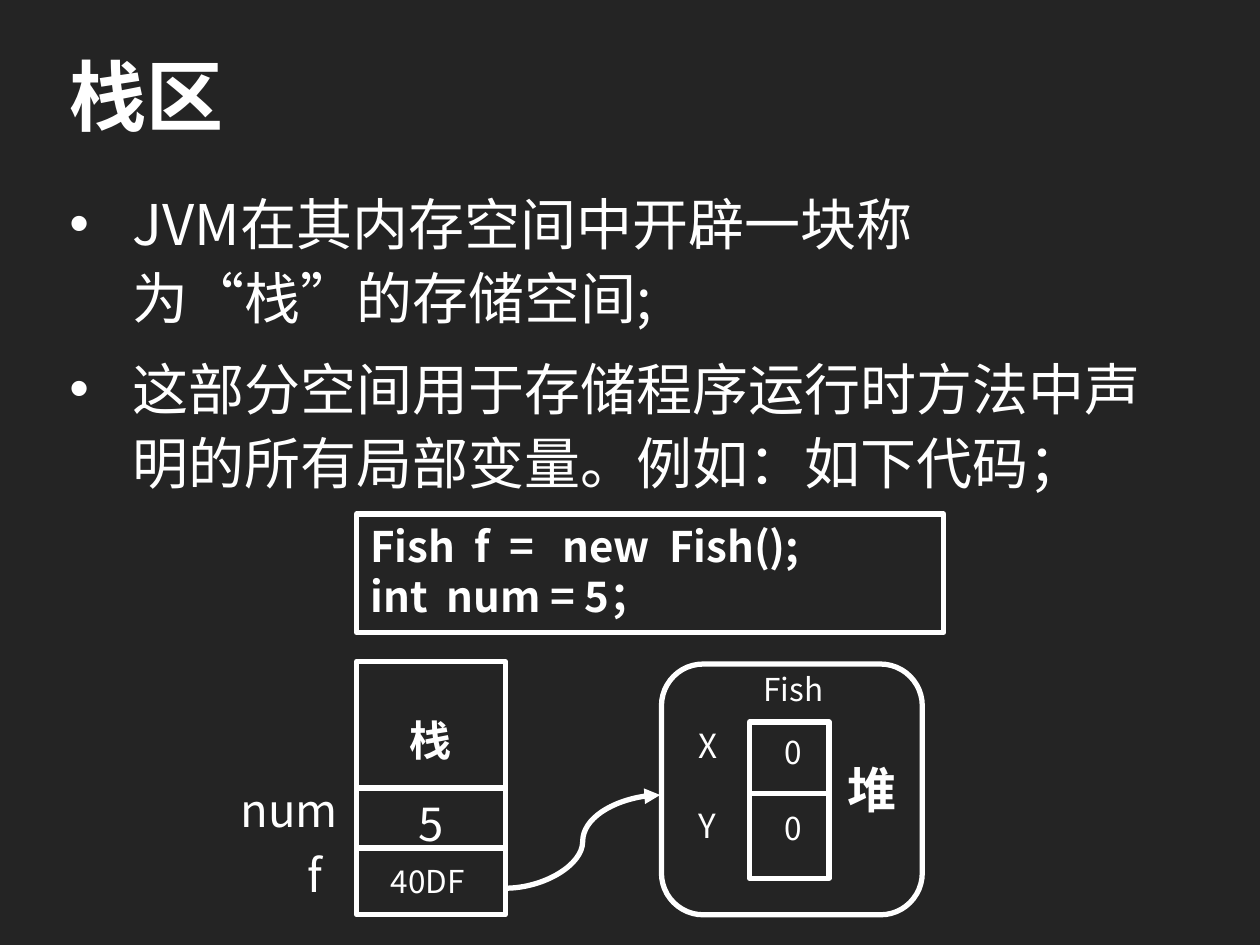
from lxml.etree import SubElement
from pptx import Presentation
from pptx.dml.color import RGBColor
from pptx.enum.shapes import MSO_CONNECTOR, MSO_SHAPE
from pptx.enum.text import MSO_ANCHOR, PP_ALIGN
from pptx.oxml.ns import qn
from pptx.util import Pt

EMU_PER_PX = 9144
FONT = "Noto Sans CJK SC"
INK = "FFFFFF"
GROUND = "242424"
INSETS = {"margin_left": 11, "margin_right": 11, "margin_top": 5, "margin_bottom": 5}


def px(*lengths):
    return [length * EMU_PER_PX for length in lengths]


def colour(value):
    return RGBColor.from_string(value)


def assign(target, values):
    for name, value in values.items():
        setattr(target, name, value)


class MemorySlide:
    """Holds the slide and its style, and draws each kind of element."""

    def __init__(self, deck):
        self.slide = deck.slides.add_slide(deck.slide_layouts[1])
        self.shapes = self.slide.shapes
        ground = self.slide.background.fill
        ground.solid()
        ground.fore_color.rgb = colour(GROUND)

    def set_text(self, frame, lines, size, bold=False, **paragraph_format):
        frame.word_wrap = True
        for index, line in enumerate(lines):
            paragraph = frame.paragraphs[0] if index == 0 else frame.add_paragraph()
            assign(paragraph, paragraph_format)
            run = paragraph.add_run()
            run.text = line
            assign(run.font, {"name": FONT, "size": Pt(size), "bold": bold})
            run.font.color.rgb = colour(INK)
            SubElement(run._r.get_or_add_rPr(), qn("a:ea"), typeface=FONT)

    def place(self, placeholder, box):
        assign(placeholder, dict(zip(("left", "top", "width", "height"), px(*box))))
        return placeholder.text_frame

    def title(self, box, heading):
        frame = self.place(self.shapes.title, box)
        frame.vertical_anchor = MSO_ANCHOR.MIDDLE
        self.set_text(frame, [heading], 44, True, alignment=PP_ALIGN.LEFT)

    def bullets(self, box, points):
        frame = self.place(self.slide.placeholders[1], box)
        self.set_text(frame, points, 32, line_spacing=1.1, space_before=Pt(10))
        for paragraph in frame.paragraphs:
            properties = paragraph._p.get_or_add_pPr()
            for name, indent in {"marL": 50, "indent": -50}.items():
                properties.set(name, str(indent * EMU_PER_PX))

    def inset(self, frame, **changes):
        margins = {**INSETS, **changes}
        assign(frame, dict(zip(margins, px(*margins.values()))))

    def stroke(self, line):
        line.width = Pt(3)
        line.color.rgb = colour(INK)

    def outline(self, preset, box, lines=(), size=24, align=PP_ALIGN.LEFT,
                anchor=MSO_ANCHOR.MIDDLE, **margins):
        shape = self.shapes.add_shape(preset, *px(*box))
        shape.shadow.inherit = False
        shape.fill.background()
        self.stroke(shape.line)
        self.inset(shape.text_frame, **margins)
        shape.text_frame.vertical_anchor = anchor
        self.set_text(shape.text_frame, lines, size, True, alignment=align)
        return shape

    def label(self, box, lines, size, gap=0):
        frame = self.shapes.add_textbox(*px(*box)).text_frame
        self.inset(frame)
        self.set_text(frame, lines, size)
        for paragraph in frame.paragraphs[1:]:
            paragraph.space_before = Pt(gap)

    def connect(self, start, end, kind=MSO_CONNECTOR.STRAIGHT, arrow=False):
        connector = self.shapes.add_connector(kind, *px(*start, *end))
        self.stroke(connector.line)
        if arrow:
            SubElement(connector.line._get_or_add_ln(), qn("a:tailEnd"), type="triangle")
        SubElement(connector._element.spPr, qn("a:effectLst"))
        return connector


def main():
    deck = Presentation()
    deck.slide_width, deck.slide_height = px(1000, 750)
    page = MemorySlide(deck)

    page.title((45, 23, 909, 104), "栈区")
    page.bullets((45, 140, 911, 555), [
        "JVM在其内存空间中开辟一块称为“栈”的存储空间;",
        "这部分空间用于存储程序运行时方法中声明的所有局部变量。例如：如下代码；",
    ])

    stack_left, stack_right = 283, 401
    field_left, field_right = 595, 658
    stack = page.outline(MSO_SHAPE.FLOWCHART_PROCESS,
                         (stack_left, 525, stack_right - stack_left, 201),
                         ["栈"], align=PP_ALIGN.CENTER, margin_bottom=82)
    page.outline(MSO_SHAPE.FLOWCHART_ALTERNATE_PROCESS, (525, 527, 207, 199),
                 ["堆"], 28, PP_ALIGN.RIGHT)
    page.outline(MSO_SHAPE.RECTANGLE, (stack_left, 408, 466, 94),
                 ["Fish  f  =   new  Fish();", "int  num = 5；"], anchor=MSO_ANCHOR.TOP)
    page.outline(MSO_SHAPE.FLOWCHART_PROCESS,
                 (field_left, 573, field_right - field_left, 124))

    page.connect((field_left, 630), (field_right, 630))
    page.connect((stack_left, 673), (stack_right, 673))
    num_divider = page.connect((stack_left, 627), (stack_right, 627))
    num_divider.begin_connect(stack, 1)
    num_divider.end_connect(stack, 3)
    page.connect((stack_right, 705), (524, 631), MSO_CONNECTOR.CURVE, arrow=True)

    page.label((299, 679, 101, 42), ["40DF"], 18)
    page.label((543, 571, 52, 110), ["X", "Y"], 19, gap=23)
    page.label((612, 577, 50, 104), ["0", "0"], 18, gap=22)
    page.label((595, 527, 99, 42), ["Fish"], 18)
    page.label((233, 667, 35, 57), ["f"], 26)
    page.label((321, 627, 39, 57), ["5"], 26)
    page.label((180, 616, 107, 57), ["num"], 26)

    deck.save("out.pptx")


if __name__ == "__main__":
    main()
